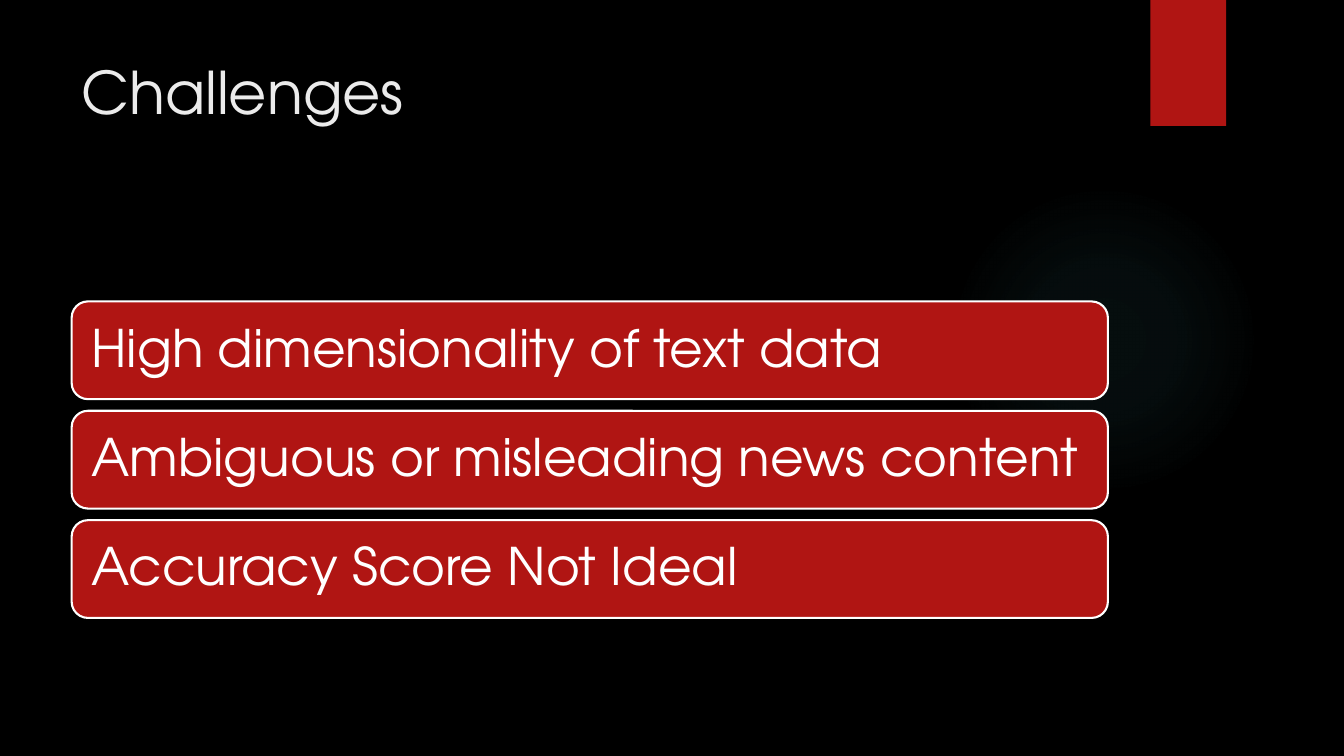
from dataclasses import dataclass

from lxml.etree import SubElement
from pptx import Presentation
from pptx.dml.color import RGBColor
from pptx.enum.shapes import MSO_SHAPE
from pptx.enum.text import MSO_ANCHOR, PP_ALIGN
from pptx.oxml.ns import qn
from pptx.shapes.autoshape import Shape
from pptx.slide import Slide
from pptx.text.text import TextFrame
from pptx.util import Inches, Pt

WIDTH, HEIGHT = Inches(13.33), Inches(7.5)
FONT = "TeX Gyre Adventor"
BLACK, RED, WHITE, PALE, TEAL = "000000", "B01513", "FFFFFF", "EBEBEB", "50B9C1"
GLOW_STOPS = ((0, 7), (36, 6), (69, 0))
CHALLENGES = (
    "High dimensionality of text data",
    "Ambiguous or misleading news content",
    "Accuracy Score Not Ideal",
)


@dataclass(frozen=True)
class Area:
    """Percent shares of the slide's width and height."""

    left: float
    top: float
    width: float
    height: float

    def lengths(self) -> tuple[int, int, int, int]:
        return (
            round(WIDTH * self.left / 100),
            round(HEIGHT * self.top / 100),
            round(WIDTH * self.width / 100),
            round(HEIGHT * self.height / 100),
        )


GLOW = Area(70.6, 24.4, 23.1, 41.07)
TAB = Area(85.6, 0, 5.63, 16.67)
TITLE = Area(5.33, 6.67, 77.2, 20.4)
FIRST_BAR = Area(5.33, 39.87, 77.1, 12.93)
BAR_STEP = 14.47


def colour(value: str) -> RGBColor:
    return RGBColor.from_string(value)


def add_block(page: Slide, kind: MSO_SHAPE, area: Area, fill: str) -> Shape:
    block = page.shapes.add_shape(kind, *area.lengths())
    block.shadow.inherit = False
    block.fill.solid()
    block.fill.fore_color.rgb = colour(fill)
    block.line.fill.background()
    return block


def write(frame: TextFrame, text: str, size: float, ink: str) -> None:
    frame.word_wrap = True
    para = frame.paragraphs[0]
    para.alignment = PP_ALIGN.LEFT
    span = para.add_run()
    span.text = text
    span.font.name = FONT
    span.font.size = Pt(size)
    span.font.color.rgb = colour(ink)


def add_glow(page: Slide) -> None:
    glow = add_block(page, MSO_SHAPE.OVAL, GLOW, TEAL)
    glow.fill.gradient()
    gradient = glow.fill._xPr.find(qn("a:gradFill"))
    for child in list(gradient):
        gradient.remove(child)
    stops = SubElement(gradient, qn("a:gsLst"))
    for position, opacity in GLOW_STOPS:
        stop = SubElement(stops, qn("a:gs"), pos=str(position * 1000))
        tint = SubElement(stop, qn("a:srgbClr"), val=TEAL)
        SubElement(tint, qn("a:alpha"), val=str(opacity * 1000))
    circle = SubElement(gradient, qn("a:path"), {"path": "circle"})
    SubElement(circle, qn("a:fillToRect"), dict.fromkeys("ltrb", "50000"))


def add_title(page: Slide) -> None:
    box = page.shapes.add_textbox(*TITLE.lengths())
    box.text_frame.vertical_anchor = MSO_ANCHOR.TOP
    write(box.text_frame, "Challenges", 42, PALE)


def add_bar(page: Slide, row: int, text: str) -> None:
    top = FIRST_BAR.top + row * BAR_STEP
    area = Area(FIRST_BAR.left, top, FIRST_BAR.width, FIRST_BAR.height)
    bar = add_block(page, MSO_SHAPE.ROUNDED_RECTANGLE, area, RED)
    bar.line.color.rgb = colour(WHITE)
    bar.line.width = Pt(1.5)
    frame = bar.text_frame
    frame.vertical_anchor = MSO_ANCHOR.MIDDLE
    frame.margin_left = frame.margin_right = Inches(0.15)
    frame.margin_top = frame.margin_bottom = Inches(0.15)
    write(frame, text, 37, WHITE)
    frame.paragraphs[0].line_spacing = 0.9


def main() -> None:
    deck = Presentation()
    deck.slide_width, deck.slide_height = WIDTH, HEIGHT
    page = deck.slides.add_slide(deck.slide_layouts[6])
    page.background.fill.solid()
    page.background.fill.fore_color.rgb = colour(BLACK)
    add_glow(page)
    add_block(page, MSO_SHAPE.RECTANGLE, TAB, RED)
    add_title(page)
    for row, text in enumerate(CHALLENGES):
        add_bar(page, row, text)
    deck.save("out.pptx")


if __name__ == "__main__":
    main()
